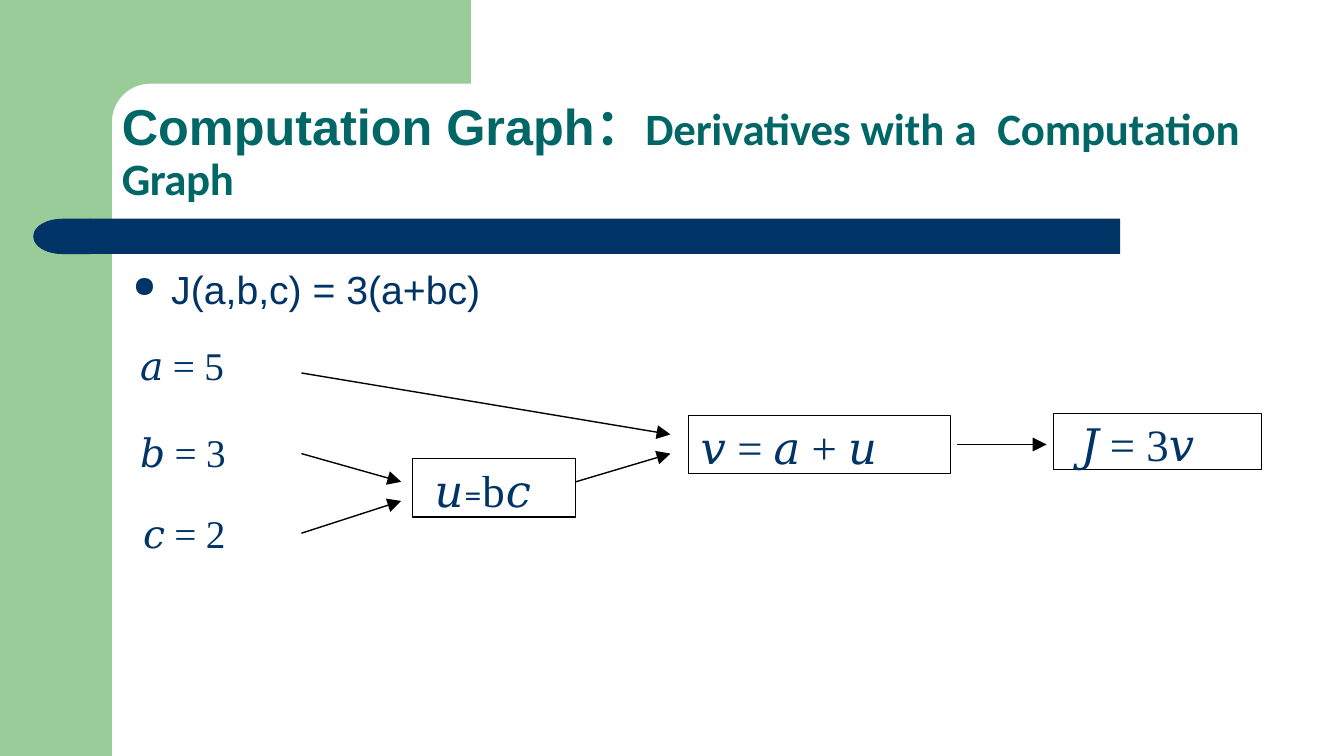
import math
from pptx import Presentation, util as u
from pptx.dml.color import RGBColor
from pptx.enum import shapes, text
from pptx.oxml.ns import qn
from lxml import etree

COLORS = {"green": "99CC99", "navy": "003366", "teal": "006666", "black": "000000"}
SERIF, SANS, TITLE = "Times New Roman", "Arial", "Calibri"
WIDTH, HEIGHT = 13.33, 7.5
SIDEBAR = 1.11

# Content: runs are (wording, size, font, letter spacing in points)
title_runs = [("Computation Graph：", 36, SANS, 0), ("Derivatives ", 32, TITLE, -0.2),
              ("with a  ", 32, TITLE, 0), ("Computation ", 32, TITLE, -0.1),
              ("Graph", 32, TITLE, -0.3)]
formula = [("J(a,b,c) = 3(a+bc)", 28, SANS, 0)]

# Inputs: wording, left, top, indent, space before
inputs = [("𝑎 = 5", 3.38, 0.01), ("𝑏 = 3", 4.24, 0.01), ("𝑐 = 2", 5.04, 0.04)]

# Nodes: place, indent, top inset, space before, runs
nodes = [((4.09, 4.55, 1.62, 0.58), 0.22, 0.04, 3,
          [("𝑢", 32, SERIF, 0.8), ("=", 24, TITLE, 0.8), ("b𝑐", 32, SERIF, 0.8)]),
         ((6.83, 4.12, 2.6, 0.58), 0.12, 0.04, 3, [("𝑣 = 𝑎 + 𝑢", 32, SERIF, 0)]),
         ((10.45, 4.1, 2.06, 0.56), 0.27, 0.03, 1.9, [("𝐽 = 3𝑣", 32, SERIF, 0)])]

# Edges: start and tip
edges = [((2.99, 3.7), (6.65, 4.31)), ((2.99, 4.5), (3.98, 4.78)),
         ((2.99, 5.29), (3.98, 4.97)), ((5.71, 4.78), (6.65, 4.5)),
         ((9.49, 4.41), (10.38, 4.41))]


def color(name):
    return RGBColor.from_string(COLORS[name])


def inches(values):
    return [u.Inches(value) for value in values]


def paint(shape, name):
    shape.shadow.inherit = False
    shape.fill.solid()
    shape.fill.fore_color.rgb = color(name)
    shape.line.fill.background()


def add_bar(kind, place, name):
    shape = page.shapes.add_shape(kind, *inches(place))
    paint(shape, name)
    return shape


def write(shape, runs, insets, before=0, indent=0, hanging=0, ink="navy", bold=False):
    frame = shape.text_frame
    frame.word_wrap = True
    frame.margin_left, frame.margin_top, frame.margin_right, frame.margin_bottom = inches(insets)
    frame.vertical_anchor = text.MSO_ANCHOR.TOP
    para = frame.paragraphs[0]
    para.alignment = text.PP_ALIGN.LEFT
    para.space_before = u.Pt(before)
    properties = para._p.get_or_add_pPr()
    properties.set("marL", str(u.Inches(indent)))
    properties.set("indent", str(u.Inches(hanging)))
    for wording, size, face, spacing in runs:
        span = para.add_run()
        span.text = wording
        span.font.size, span.font.name, span.font.bold = u.Pt(size), face, bold
        span.font.color.rgb = color(ink)
        span._r.get_or_add_rPr().set("spc", str(round(spacing * 100)))
    return para


deck = Presentation()
deck.slide_width, deck.slide_height = inches((WIDTH, HEIGHT))
page = deck.slides.add_slide(deck.slide_layouts[6])

# Green sidebar and the top corner with its rounded inner edge
add_bar(shapes.MSO_SHAPE.RECTANGLE, (0, 0, SIDEBAR, HEIGHT), "green")
radius, edge_y = 0.38, 0.83
arc = [(SIDEBAR + radius * (1 - math.sin(angle)), edge_y + radius * (1 - math.cos(angle)))
       for angle in (math.pi / 2 * step / 12 for step in range(13))]
outline = [(4.67, edge_y)] + arc + [(SIDEBAR, 1.28), (0.67, 1.28), (0.67, 0)]
builder = page.shapes.build_freeform(u.Inches(4.67), 0, scale=1.0)
builder.add_line_segments([inches(point) for point in outline], close=True)
paint(builder.convert_to_shape(), "green")

# Navy rule with a round left end
add_bar(shapes.MSO_SHAPE.RECTANGLE, (0.89, 2.17, 10.22, 0.35), "navy")
cap = add_bar(shapes.MSO_SHAPE.FLOWCHART_DELAY, (0.33, 2.17, 0.57, 0.35), "navy")
cap._element.spPr.find(qn("a:xfrm")).set("flipH", "1")

# Title
box = page.shapes.add_textbox(*inches((SIDEBAR, 0.83, 11.56, 1.25)))
para = write(box, title_runs, (0.1, 0.05, 0.1, 0.05), ink="teal", bold=True)
para.line_spacing = 0.9
box.text_frame.vertical_anchor = text.MSO_ANCHOR.BOTTOM

# Bulleted formula
box = page.shapes.add_textbox(*inches((1.22, 2.58, 11.22, 0.65)))
para = write(box, formula, (0.1, 0.05, 0.1, 0.05), 5.6, 0.38, -0.38)
properties = para._p.get_or_add_pPr()
bullet_color = etree.SubElement(properties, qn("a:buClr"))
etree.SubElement(bullet_color, qn("a:srgbClr")).set("val", COLORS["navy"])
etree.SubElement(properties, qn("a:buSzPct")).set("val", "75000")
etree.SubElement(properties, qn("a:buChar")).set("char", "●")

# Graph inputs
for wording, top, indent in inputs:
    box = page.shapes.add_textbox(*inches((1.38, top, 1.57, 0.48)))
    write(box, [(wording, 28, SERIF, -0.1)], (0, 0.01, 0, 0), 0.9, indent)

# Graph nodes
for place, indent, inset, before, runs in nodes:
    node = page.shapes.add_shape(shapes.MSO_SHAPE.RECTANGLE, *inches(place))
    node.shadow.inherit = False
    node.fill.background()
    node.line.color.rgb = color("black")
    node.line.width = u.Pt(1)
    write(node, runs, (0, inset, 0, 0), before, indent)

# Graph edges
for start, tip in edges:
    arrow = page.shapes.add_connector(shapes.MSO_CONNECTOR.STRAIGHT, *inches(start + tip))
    arrow.line.color.rgb = color("black")
    arrow.line.width = u.Pt(1)
    head = etree.SubElement(arrow.line._get_or_add_ln(), qn("a:tailEnd"))
    for key, value in (("type", "triangle"), ("w", "lg"), ("len", "lg")):
        head.set(key, value)
    etree.SubElement(arrow._element.spPr, qn("a:effectLst"))

deck.save("out.pptx")
